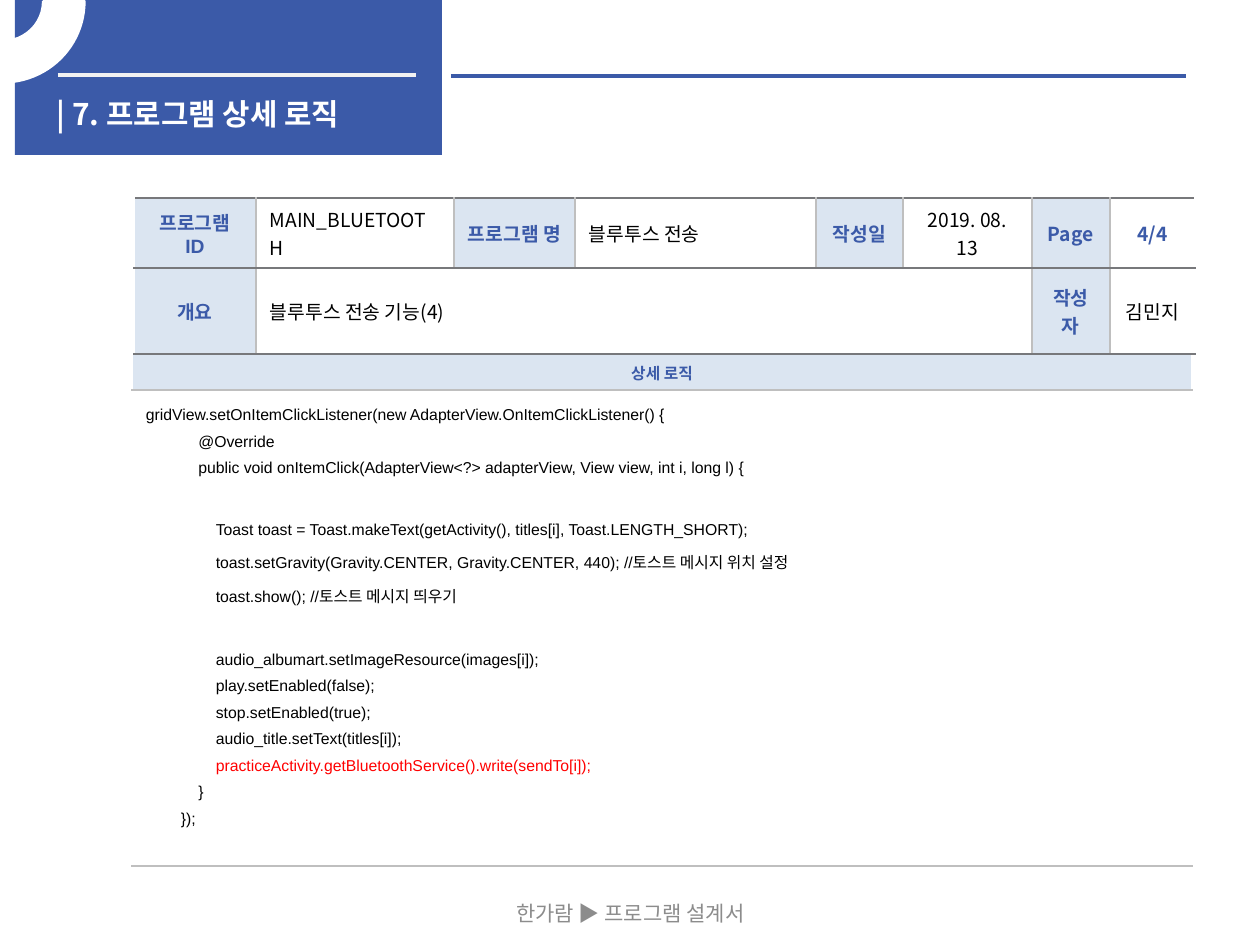
"""Build the program detail logic slide with its header table and code listing."""
from lxml.etree import SubElement
from pptx import Presentation
from pptx.dml.color import RGBColor
from pptx.enum.shapes import MSO_CONNECTOR, MSO_SHAPE
from pptx.enum.text import MSO_ANCHOR, MSO_AUTO_SIZE, PP_ALIGN
from pptx.oxml.ns import qn
from pptx.util import Inches, Pt

PX = 7257
BLUE = RGBColor(0x3B, 0x5A, 0xA8)
PALE_BLUE = RGBColor(0xB9, 0xCD, 0xE5)
WHITE = RGBColor(0xFF, 0xFF, 0xFF)
OFF_WHITE = RGBColor(0xF2, 0xF2, 0xF2)
BLACK = RGBColor(0, 0, 0)
RED = RGBColor(0xFF, 0, 0)
GRAY = RGBColor(0x8C, 0x8C, 0x8C)
DARK_LINE = RGBColor(0x77, 0x78, 0x7B)
LIGHT_LINE = RGBColor(0xBF, 0xBF, 0xBF)
KOREAN_FONT = "Noto Sans CJK KR"
CODE_FONT = "Arial"


def style_paragraph(paragraph, size, color, bold=False, font_name=KOREAN_FONT, align=PP_ALIGN.LEFT):
    paragraph.alignment = align
    for run in paragraph.runs:
        run.font.size = Pt(size)
        run.font.bold = bold
        run.font.color.rgb = color
        run.font.name = font_name
        SubElement(run.font._element, qn("a:ea"), typeface=KOREAN_FONT)


def style_cell(cell, shaded, left, right, top, bottom):
    cell.margin_left = cell.margin_right = Inches(0.11)
    cell.margin_top = cell.margin_bottom = Inches(0.06)
    cell.vertical_anchor = MSO_ANCHOR.MIDDLE
    properties = cell._tc.get_or_add_tcPr()
    if shaded:
        cell.fill.solid()
        cell.fill.fore_color.rgb = PALE_BLUE
        SubElement(properties.find(".//" + qn("a:srgbClr")), qn("a:alpha"), val="50000")
    else:
        cell.fill.background()
    sides = (("a:lnL", left), ("a:lnR", right), ("a:lnT", top), ("a:lnB", bottom))
    for index, (tag, color) in enumerate(sides):
        border = SubElement(properties, qn(tag), w=str(Pt(1)))
        SubElement(SubElement(border, qn("a:solidFill")), qn("a:srgbClr"), val=str(color))
        properties.insert(index, border)


presentation = Presentation()
presentation.slide_width = Inches(10)
presentation.slide_height = Inches(7.5)
slide = presentation.slides.add_slide(presentation.slide_layouts[5])
shapes = slide.shapes

banner = shapes.add_shape(MSO_SHAPE.RECTANGLE, 15 * PX, 0, 427 * PX, 155 * PX)
banner.shadow.inherit = False
banner.fill.solid()
banner.fill.fore_color.rgb = BLUE
banner.line.fill.background()

for start, end, y, color in ((58, 416, 75, OFF_WHITE), (451, 1186, 76, BLUE)):
    rule = shapes.add_connector(MSO_CONNECTOR.STRAIGHT, start * PX, y * PX, end * PX, y * PX)
    rule.line.color.rgb = color
    rule.line.width = Pt(2.25)
    SubElement(rule._element.spPr, qn("a:effectLst"))

title = shapes.title
title.left, title.top, title.width, title.height = 44 * PX, 96 * PX, 387 * PX, 40 * PX
title.text_frame.text = "| 7. 프로그램 상세 로직"
title.text_frame.auto_size = MSO_AUTO_SIZE.NONE
title.text_frame.vertical_anchor = MSO_ANCHOR.TOP
title.text_frame.margin_top = 0
style_paragraph(title.text_frame.paragraphs[0], 17, WHITE, True)
banner._element.getparent().append(title._element)

arc = shapes.add_shape(MSO_SHAPE.BLOCK_ARC, -79 * PX, -79 * PX, 163 * PX, 161 * PX)
arc.shadow.inherit = False
for index, value in enumerate((161.59, 0, 0.25)):
    arc.adjustments[index] = value
arc._element.spPr.find(qn("a:xfrm")).set("flipV", "1")
arc.fill.solid()
arc.fill.fore_color.rgb = WHITE
arc.line.color.rgb = WHITE
arc.line.width = Pt(2)

footer = shapes.add_textbox(431 * PX, 888 * PX, 399 * PX, 50 * PX)
footer.text_frame.word_wrap = True
footer.text_frame.vertical_anchor = MSO_ANCHOR.MIDDLE
footer.text_frame.text = "한가람 ▶ 프로그램 설계서"
style_paragraph(footer.text_frame.paragraphs[0], 12, GRAY, align=PP_ALIGN.CENTER)

logic_table = shapes.add_table(2, 1, 132 * PX, 354 * PX, 1060 * PX, 512 * PX).table
logic_table.first_row = logic_table.horz_banding = False
logic_table.rows[0].height = 36 * PX
logic_table.rows[1].height = 476 * PX
heading, code = logic_table.cell(0, 0), logic_table.cell(1, 0)
style_cell(heading, True, WHITE, WHITE, DARK_LINE, LIGHT_LINE)
style_cell(code, False, WHITE, WHITE, LIGHT_LINE, LIGHT_LINE)
heading.text_frame.text = "상세 로직"
style_paragraph(heading.text_frame.paragraphs[0], 9, BLUE, True, align=PP_ALIGN.CENTER)

code_lines = (
    (0, 0, BLACK, "gridView.setOnItemClickListener(new AdapterView.OnItemClickListener() {"),
    (3, 0, BLACK, "@Override"),
    (3, 0, BLACK, "public void onItemClick(AdapterView<?> adapterView, View view, int i, long l) {"),
    (4, 20, BLACK, "Toast toast = Toast.makeText(getActivity(), titles[i], Toast.LENGTH_SHORT);"),
    (4, 0, BLACK, "toast.setGravity(Gravity.CENTER, Gravity.CENTER, 440); //토스트 메시지 위치 설정"),
    (4, 0, BLACK, "toast.show(); //토스트 메시지 띄우기"),
    (4, 20, BLACK, "audio_albumart.setImageResource(images[i]);"),
    (4, 0, BLACK, "play.setEnabled(false);"),
    (4, 0, BLACK, "stop.setEnabled(true);"),
    (4, 0, BLACK, "audio_title.setText(titles[i]);"),
    (4, 0, RED, "practiceActivity.getBluetoothService().write(sendTo[i]);"),
    (3, 0, BLACK, "}"),
    (2, 0, BLACK, "});"),
)
code.vertical_anchor = MSO_ANCHOR.TOP
code.text_frame.text = "\n".join(line[3] for line in code_lines)
for paragraph, (depth, gap, color, _) in zip(code.text_frame.paragraphs, code_lines):
    style_paragraph(paragraph, 9, color, font_name=CODE_FONT)
    paragraph.line_spacing = 1.5
    paragraph.space_before = Pt(gap)
    paragraph._p.get_or_add_pPr().set("marL", str(Pt(10 * depth)))

column_widths = (122, 198, 121, 241, 87, 129, 78, 85)
row_heights = (70, 86)
info_rows = (
    ("프로그램 ID", "MAIN_BLUETOOTH", "프로그램 명", "블루투스 전송", "작성일", "2019. 08. 13", "Page", "4/4"),
    ("개요", "블루투스 전송 기능(4)", "", "", "", "", "작성자", "김민지"),
)
labels = ("프로그램 ID", "프로그램 명", "작성일", "Page", "개요", "작성자")
left_aligned_columns = (1, 3)
info_table = shapes.add_table(
    2, 8, 134 * PX, 198 * PX, sum(column_widths) * PX, sum(row_heights) * PX
).table
info_table.first_row = info_table.horz_banding = False
for column, width in zip(info_table.columns, column_widths):
    column.width = width * PX
for row, height in zip(info_table.rows, row_heights):
    row.height = height * PX
info_table.cell(1, 1).merge(info_table.cell(1, 5))
for row_index, texts in enumerate(info_rows):
    for column_index, text in enumerate(texts):
        cell = info_table.cell(row_index, column_index)
        left = WHITE if column_index == 0 else LIGHT_LINE
        right = WHITE if column_index == 7 else LIGHT_LINE
        style_cell(cell, text in labels, left, right, DARK_LINE, DARK_LINE)
        if text:
            cell.text_frame.text = text
            emphasized = text in labels or text == "4/4"
            style_paragraph(
                cell.text_frame.paragraphs[0],
                11,
                BLUE if emphasized else BLACK,
                emphasized,
                CODE_FONT if column_index == 0 else KOREAN_FONT,
                PP_ALIGN.LEFT if column_index in left_aligned_columns else PP_ALIGN.CENTER,
            )

presentation.save("out.pptx")
